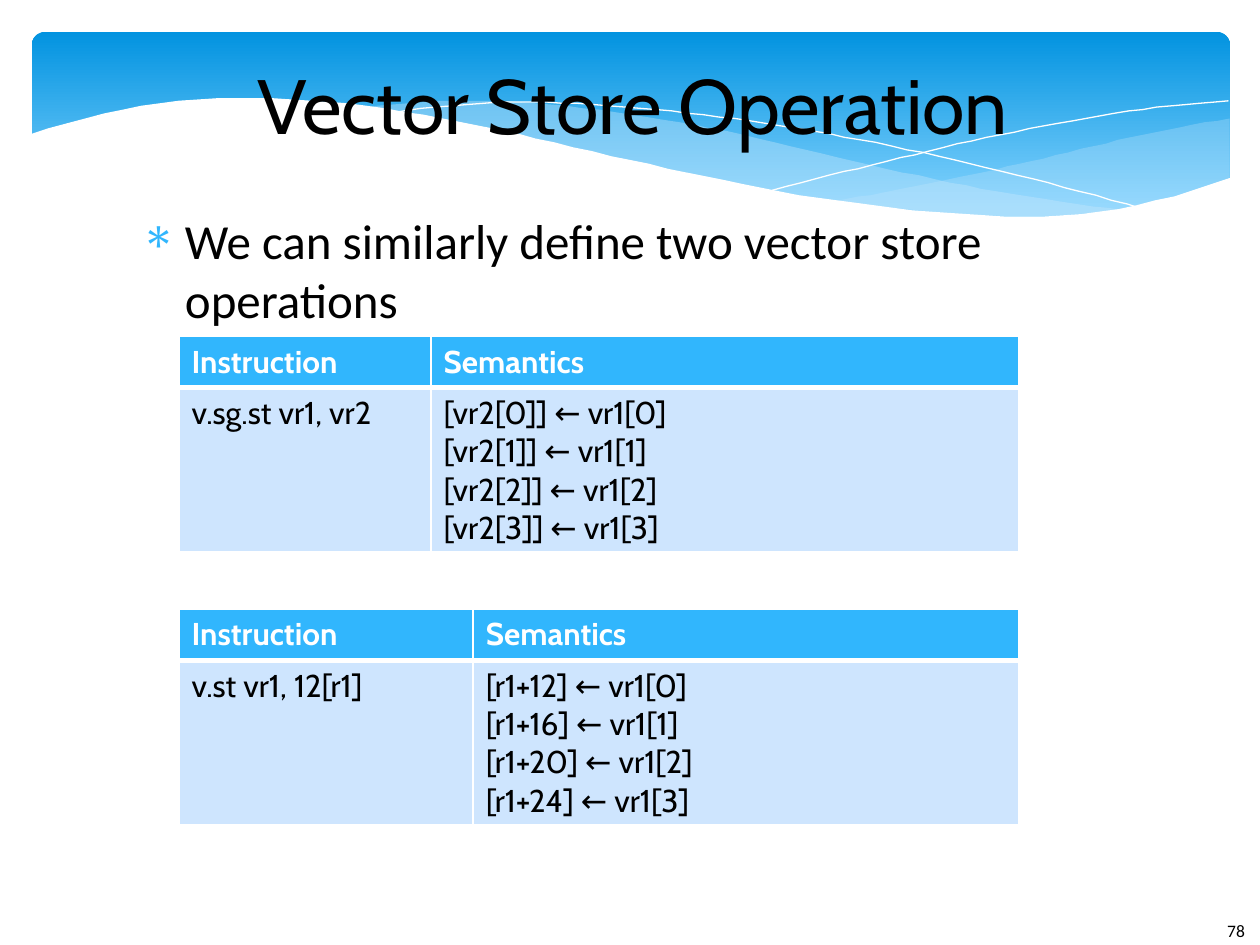
from lxml import etree
from pptx import Presentation
from pptx.dml.color import RGBColor
from pptx.enum.shapes import MSO_SHAPE
from pptx.enum.text import MSO_ANCHOR, PP_ALIGN
from pptx.oxml import parse_xml
from pptx.oxml.ns import qn
from pptx.util import Cm, Pt

ROUND = MSO_SHAPE.ROUNDED_RECTANGLE
MIDDLE = MSO_ANCHOR.MIDDLE
CENTER = PP_ALIGN.CENTER
NS = "http://schemas.openxmlformats.org/drawingml/2006/main"


class Theme:
    head, body = "Cabin", "Calibri"
    title, text, cell, num = Pt(44), Pt(28), Pt(18), Pt(10)
    black, white = RGBColor(0, 0, 0), RGBColor(255, 255, 255)
    deep, light = RGBColor.from_string("0293E0"), RGBColor.from_string("83D3FE")
    mist = RGBColor.from_string("C6E7FC")
    blue, pale = RGBColor.from_string("31B6FD"), RGBColor.from_string("CEE5FE")


def curve(left, right, knots, steps=8):
    """Return points of a smooth (Catmull-Rom) curve through evenly spaced heights."""
    first = 3 * (knots[0] - knots[1]) + knots[2]
    last = 3 * (knots[-1] - knots[-2]) + knots[-3]
    ends = [first, *knots, last]
    count = (len(knots) - 1) * steps
    points = []
    for n in range(count):
        t = n % steps / steps
        a, b, c, d = ends[n // steps:n // steps + 4]
        y = b + t / 2 * (c - a + t * (2 * a - 5 * b + 4 * c - d
                                      + t * (3 * (b - c) + d - a)))
        points.append((left + (right - left) * n / count, y))
    return points + [(right, knots[-1])]


def add_text(x, y, w, h, text, face, size, inset=0):
    """Add a wrapped text box and return its frame."""
    frame = slide.shapes.add_textbox(Cm(x), Cm(y), Cm(w), Cm(h)).text_frame
    frame.word_wrap = True
    frame.margin_left = frame.margin_right = Cm(inset)
    frame.margin_top = frame.margin_bottom = Cm(inset / 2)
    frame.text = text
    font = frame.paragraphs[0].font
    font.name, font.size, font.color.rgb = face, size, Theme.black
    return frame


prs = Presentation()
prs.slide_width, prs.slide_height = Cm(25.4), Cm(19.05)
slide = prs.slides.add_slide(prs.slide_layouts[6])

# Banner
banner = slide.shapes.add_shape(ROUND, Cm(0.64), Cm(0.64), Cm(24.16), Cm(3.96))
banner.adjustments[0] = 0.07
banner.shadow.inherit = False
banner.line.fill.background()
banner.fill.gradient()
banner.fill.gradient_angle = 270
for stop, place, color in zip(banner.fill.gradient_stops, (0, 0.9),
                              (Theme.deep, Theme.light)):
    stop.position = place
    stop.color.rgb = color

# Waves, in hundredths of an inch: left, right, top heights, bottom heights,
# fill and opacity in percent; a wave without a bottom is a thin line
WAVES = [
    (661, 976, (160, 145, 128, 109, 94), (160, 168, 172, 165, 141), Theme.mist, 29),
    (286, 893, (86, 80, 89, 107, 131, 152, 167),
     (86, 102, 125, 148, 164, 172, 167), Theme.mist, 40),
    (309, 907, (90, 81, 86, 98, 116, 139, 166), None, None, None),
    (613, 975, (151, 128, 107, 90, 80), None, None, None),
    (23, 977, (107, 80, 81, 100, 127, 152, 168, 170, 141),
     (224, 224, 224), Theme.white, 100),
]
for left, right, top, low, color, opaque in WAVES:
    points = curve(left, right, top)
    if low:
        points += reversed(curve(left, right, low))
    pen = slide.shapes.build_freeform(*points[0], scale=Cm(0.0254))
    pen.add_line_segments(points[1:], close=bool(low))
    wave = pen.convert_to_shape()
    wave.shadow.inherit = False
    if low:
        wave.line.fill.background()
        wave.fill.solid()
        wave.fill.fore_color.rgb = color
        tint = wave.element.spPr.find(f"{qn('a:solidFill')}/{qn('a:srgbClr')}")
        etree.SubElement(tint, qn("a:alpha"), val=str(opaque * 1000))
    else:
        wave.fill.background()
        wave.line.color.rgb = Theme.white
        wave.line.width = Pt(0)

# Text
add_text(24.49, 18.42, 0.9, 0.6, "78", Theme.body, Theme.num, 0.25)
title = add_text(2.46, 0.79, 20.6, 2.59, "Vector Store Operation",
                 Theme.head, Theme.title)
title.vertical_anchor = MIDDLE
title.paragraphs[0].alignment = CENTER
body = add_text(2.54, 4.24, 20.75, 12.9,
                "We can similarly define two vector store operations",
                Theme.body, Theme.text)
item = body.paragraphs[0]
item.space_after = Pt(14)
props = item._p.get_or_add_pPr()
props.set("marL", str(Cm(1.19)))
props.set("indent", str(Cm(-0.89)))
bullet = (f'<a:buClr xmlns:a="{NS}"><a:srgbClr val="{Theme.blue}"/></a:buClr>',
          f'<a:buFont xmlns:a="{NS}" typeface="Symbol"/>',
          f'<a:buChar xmlns:a="{NS}" char="∗"/>')
for place, part in enumerate(bullet, start=1):
    props.insert(place, parse_xml(part))

# Tables: top, first column width, instruction, semantics
WIDE = 16.93
TABLES = [
    (6.78, 5.08, "v.sg.st vr1, vr2",
     [f"[vr2[{i}]] ← vr1[{i}]" for i in range(4)]),
    (12.28, 5.93, "v.st vr1, 12[r1]",
     [f"[r1+{12 + 4 * i}] ← vr1[{i}]" for i in range(4)]),
]
for top, first, code, steps in TABLES:
    grid = slide.shapes.add_table(2, 2, Cm(3.61), Cm(top), Cm(WIDE), Cm(4.34)).table
    for col, wide in zip(grid.columns, (first, WIDE - first)):
        col.width = Cm(wide)
    for row, high in zip(grid.rows, (1.03, 3.31)):
        row.height = Cm(high)
    rows = [("Instruction", "Semantics"), (code, "\n".join(steps))]
    for r, texts in enumerate(rows):
        edges = {"L": 1, "R": 1, "T": 3 if r else 1, "B": 1 if r else 3}
        for c, text in enumerate(texts):
            cell = grid.cell(r, c)
            cell.text = text
            for para in cell.text_frame.paragraphs:
                font = para.font
                font.name, font.size, font.bold = Theme.head, Theme.cell, r == 0
                font.color.rgb = Theme.black if r else Theme.white
            for side, width in edges.items():
                cell._tc.get_or_add_tcPr().append(parse_xml(
                    f'<a:ln{side} xmlns:a="{NS}" w="{Pt(width)}"><a:solidFill>'
                    f'<a:srgbClr val="{Theme.white}"/></a:solidFill></a:ln{side}>'))
            cell.fill.solid()
            cell.fill.fore_color.rgb = Theme.pale if r else Theme.blue

prs.save("out.pptx")
